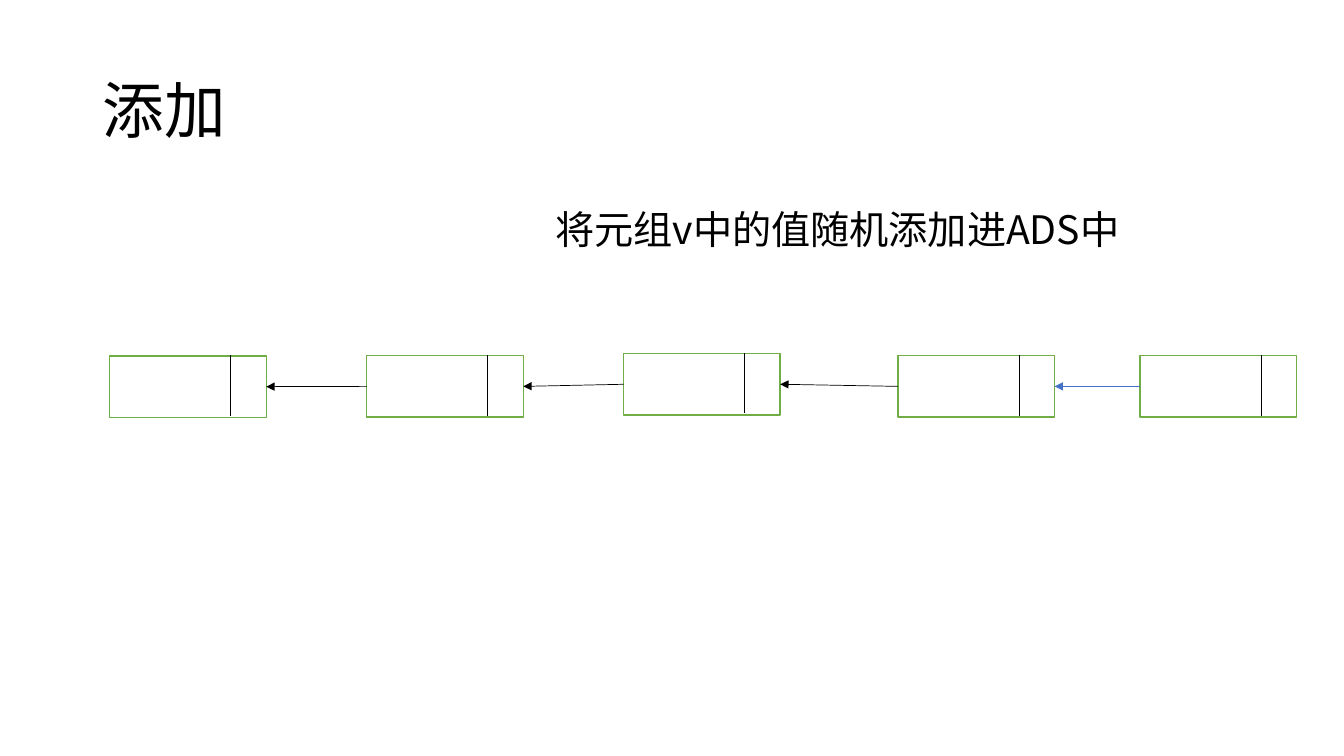
import pptx
import pptx.util
import pptx.dml.color
import pptx.enum.shapes
import pptx.enum.text
import pptx.oxml
import pptx.oxml.ns

Pt = pptx.util.Pt
FONT = "Noto Sans CJK SC"


def style_text(paragraph, size):
    """Set the typeface for Latin and East Asian letters, the size and black."""
    font = paragraph.font
    font.name = FONT
    font.size = Pt(size)
    font.color.rgb = pptx.dml.color.RGBColor.from_string("000000")
    east_asian = pptx.oxml.parse_xml(
        f'<a:ea {pptx.oxml.ns.nsdecls("a")} typeface="{FONT}"/>')
    font._element.find(pptx.oxml.ns.qn("a:latin")).addnext(east_asian)


def add_line(start, end, color, arrow=False):
    line = slide.shapes.add_connector(
        pptx.enum.shapes.MSO_CONNECTOR.STRAIGHT, *map(Pt, start + end))
    line.line.color.rgb = pptx.dml.color.RGBColor.from_string(color)
    line.line.width = Pt(0.5)
    if arrow:
        line.line._get_or_add_ln().append(pptx.oxml.parse_xml(
            f'<a:tailEnd {pptx.oxml.ns.nsdecls("a")} type="triangle"/>'))
    line._element.spPr.append(pptx.oxml.parse_xml(
        f'<a:effectLst {pptx.oxml.ns.nsdecls("a")}/>'))
    return line


deck = pptx.Presentation()
deck.slide_width, deck.slide_height = Pt(960), Pt(540)
slide = deck.slides.add_slide(deck.slide_layouts[5])

title = slide.shapes.title
title.left, title.top, title.width, title.height = map(Pt, (66, 28.75, 828, 104.4))
title.text_frame.text = "添加"
title.text_frame.vertical_anchor = pptx.enum.text.MSO_ANCHOR.MIDDLE
heading = title.text_frame.paragraphs[0]
heading.alignment = pptx.enum.text.PP_ALIGN.LEFT
heading.line_spacing = 0.9
style_text(heading, 44)

caption = slide.shapes.add_textbox(*map(Pt, (389.5, 143.3, 419, 41.2)))
caption.text_frame.word_wrap = True
caption.text_frame.text = "将元组v中的值随机添加进ADS中"
style_text(caption.text_frame.paragraphs[0], 28)

# Linked list: each node is a box with a pointer cell at its right end
NODE_WIDTH, NODE_HEIGHT = 111.8, 44
DIVIDER_OFFSET, DIVIDER_HEIGHT = 86.4, 43.2
node_places = [(78.4, 254.2), (262, 254), (445.5, 252.5), (641.5, 254), (814.4, 254)]
nodes = []
for left, top in node_places:
    node = slide.shapes.add_shape(
        pptx.enum.shapes.MSO_SHAPE.RECTANGLE,
        *map(Pt, (left, top, NODE_WIDTH, NODE_HEIGHT)))
    node.shadow.inherit = False
    node.fill.solid()
    node.fill.fore_color.rgb = pptx.dml.color.RGBColor.from_string("FFFFFF")
    node.line.color.rgb = pptx.dml.color.RGBColor.from_string("70AD47")
    node.line.width = Pt(1)
    nodes.append(node)
    divider = left + DIVIDER_OFFSET
    add_line((divider, top - 0.4), (divider, top - 0.4 + DIVIDER_HEIGHT), "000000")

link_colors = ["000000", "000000", "000000", "4472C4"]
for previous, following, color in zip(nodes, nodes[1:], link_colors):
    link = add_line((0, 0), (0, 0), color, arrow=True)
    link.begin_connect(following, 1)
    link.end_connect(previous, 3)

deck.save("out.pptx")
